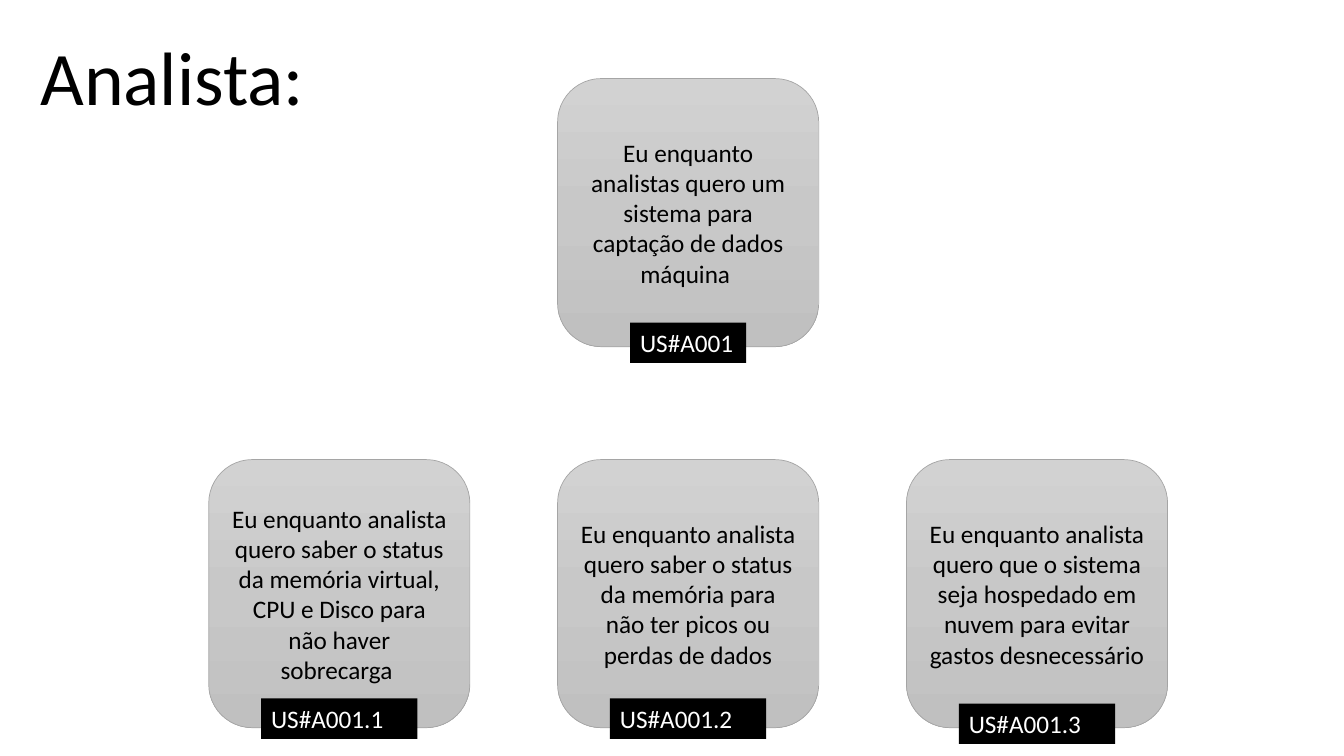
"""Build the slide of user stories for the analyst."""
from copy import deepcopy

from pptx import Presentation, util as u
from pptx.dml.color import RGBColor
from pptx.enum import shapes, text

BLACK = RGBColor(0x00, 0x00, 0x00)
WHITE = RGBColor(0xFF, 0xFF, 0xFF)
EDGE = RGBColor(0xA5, 0xA5, 0xA5)
GREYS = [RGBColor(0xD2, 0xD2, 0xD2), RGBColor(0xC8, 0xC8, 0xC8), RGBColor(0xC0, 0xC0, 0xC0)]

LEFT, TOP = 2.07, 0.78
COL, ROW = 3.46, 3.78
CARD_W, CARD_H = 2.59, 2.66
TAG_H = 0.4

STORIES = [
    (1, 0, "Eu enquanto analistas quero um sistema para captação de dados\nmáquina ",
     "US#A001", 1.15, 2.42),
    (0, 1, "Eu enquanto analista quero saber o status da memória virtual, "
           "CPU e Disco para não haver sobrecarga ", "US#A001.1", 1.55, 2.37),
    (1, 1, "Eu enquanto analista quero saber o status da memória para "
           "não ter picos ou perdas de dados", "US#A001.2", 1.55, 2.37),
    (2, 1, "Eu enquanto analista quero que o sistema seja hospedado em "
           "nuvem para evitar gastos desnecessário ", "US#A001.3", 1.55, 2.42),
]


def write(sp, words, size=18, color=BLACK, align=text.PP_ALIGN.LEFT,
          anchor=text.MSO_ANCHOR.TOP):
    """Fill a shape with formatted paragraphs."""
    tf = sp.text_frame
    tf.text = words
    tf.word_wrap = True
    tf.auto_size = text.MSO_AUTO_SIZE.NONE
    tf.vertical_anchor = anchor
    for p in tf.paragraphs:
        p.alignment = align
        for r in p.runs:
            r.font.name = "Calibri"
            r.font.size = u.Pt(size)
            r.font.color.rgb = color


def add_box(s, kind, x, y, w, h):
    """Add a shadowless preset shape, measured in inches."""
    sp = s.shapes.add_shape(kind, *(u.Inches(v) for v in (x, y, w, h)))
    sp.shadow.inherit = False
    return sp


prs = Presentation()
prs.slide_width, prs.slide_height = u.Inches(13.33), u.Inches(7.5)
s = prs.slides.add_slide(prs.slide_layouts[5])

title = s.shapes.title
title.left, title.top = u.Inches(0.3), u.Inches(0.25)
title.width, title.height = u.Inches(3.48), u.Inches(1.01)
write(title, "Analista:", size=54)

for col, row, story, code, tag_w, tag_drop in STORIES:
    x, y = LEFT + col * COL, TOP + row * ROW
    card = add_box(s, shapes.MSO_SHAPE.ROUNDED_RECTANGLE, x, y, CARD_W, CARD_H)
    card.fill.gradient()
    card.fill.gradient_angle = 270
    first = card.fill.gradient_stops[0]._gs
    first.addnext(deepcopy(first))
    for i, (stop, grey) in enumerate(zip(card.fill.gradient_stops, GREYS)):
        stop.position = i / 2
        stop.color.rgb = grey
    card.line.color.rgb = EDGE
    card.line.width = u.Pt(0.5)
    write(card, story, align=text.PP_ALIGN.CENTER, anchor=text.MSO_ANCHOR.MIDDLE)

    tag = add_box(s, shapes.MSO_SHAPE.RECTANGLE,
                  x + (CARD_W - tag_w) / 2, y + tag_drop, tag_w, TAG_H)
    tag.fill.solid()
    tag.fill.fore_color.rgb = BLACK
    tag.line.fill.background()
    tag.text_frame.margin_right = 0
    write(tag, code, color=WHITE)

prs.save("out.pptx")
